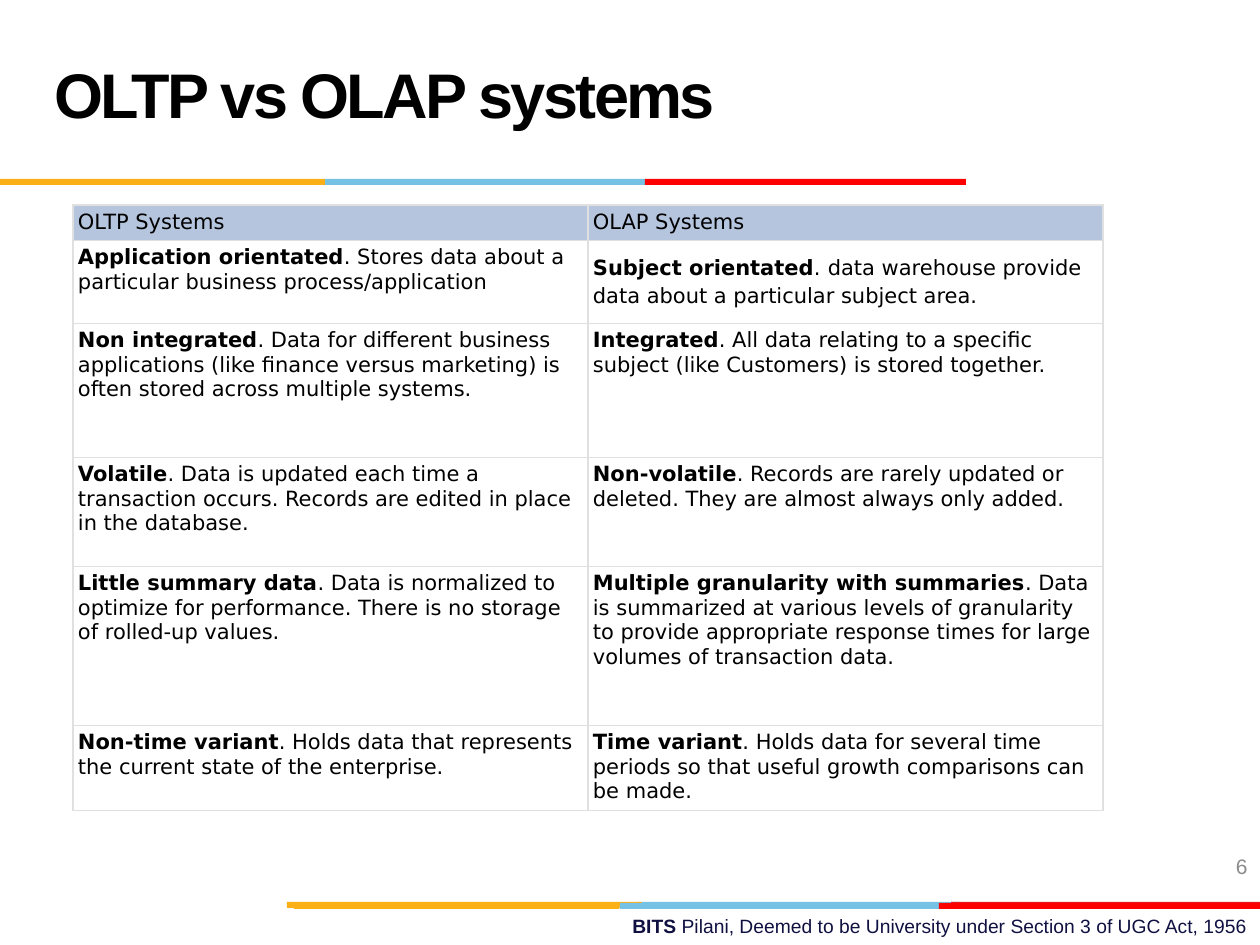
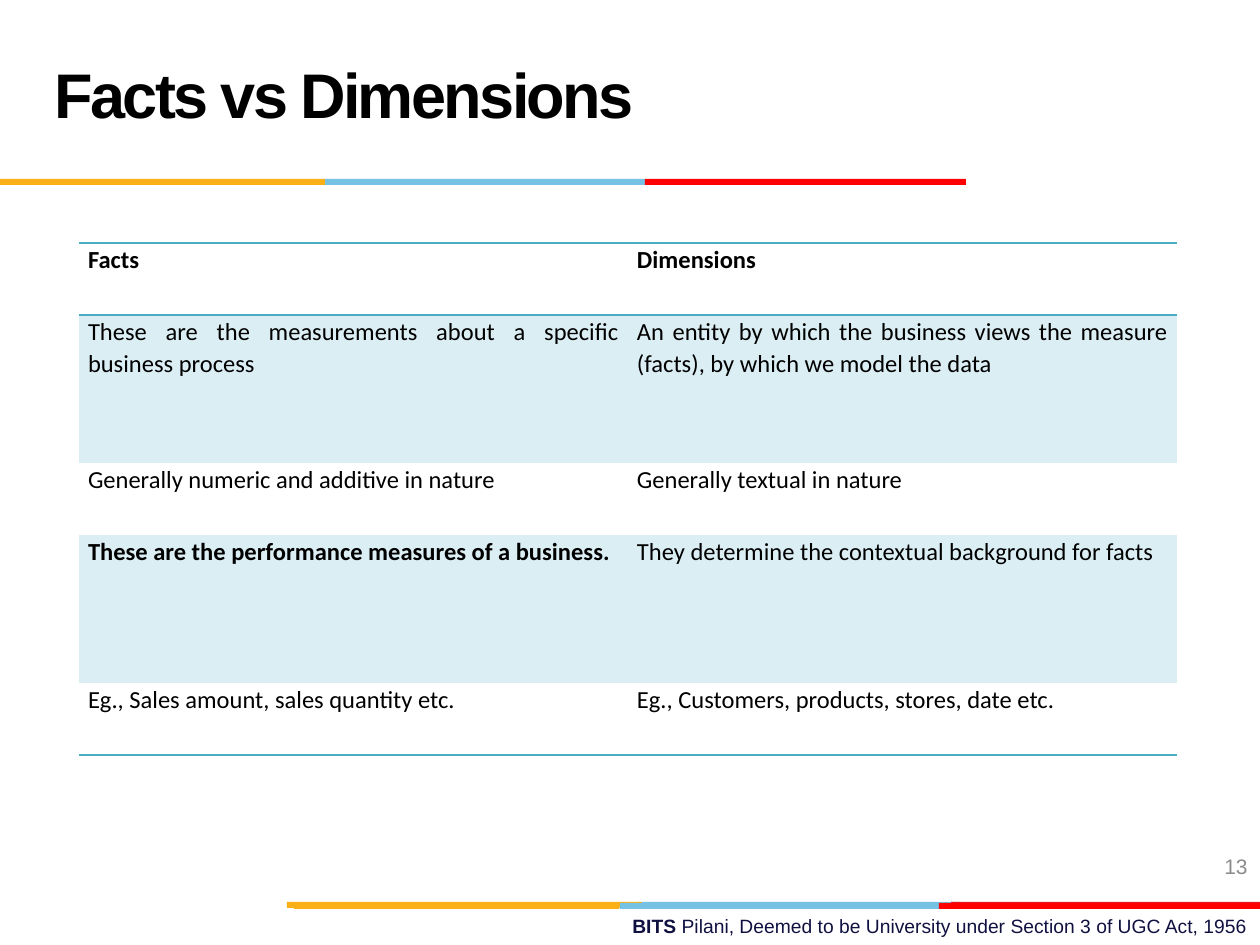
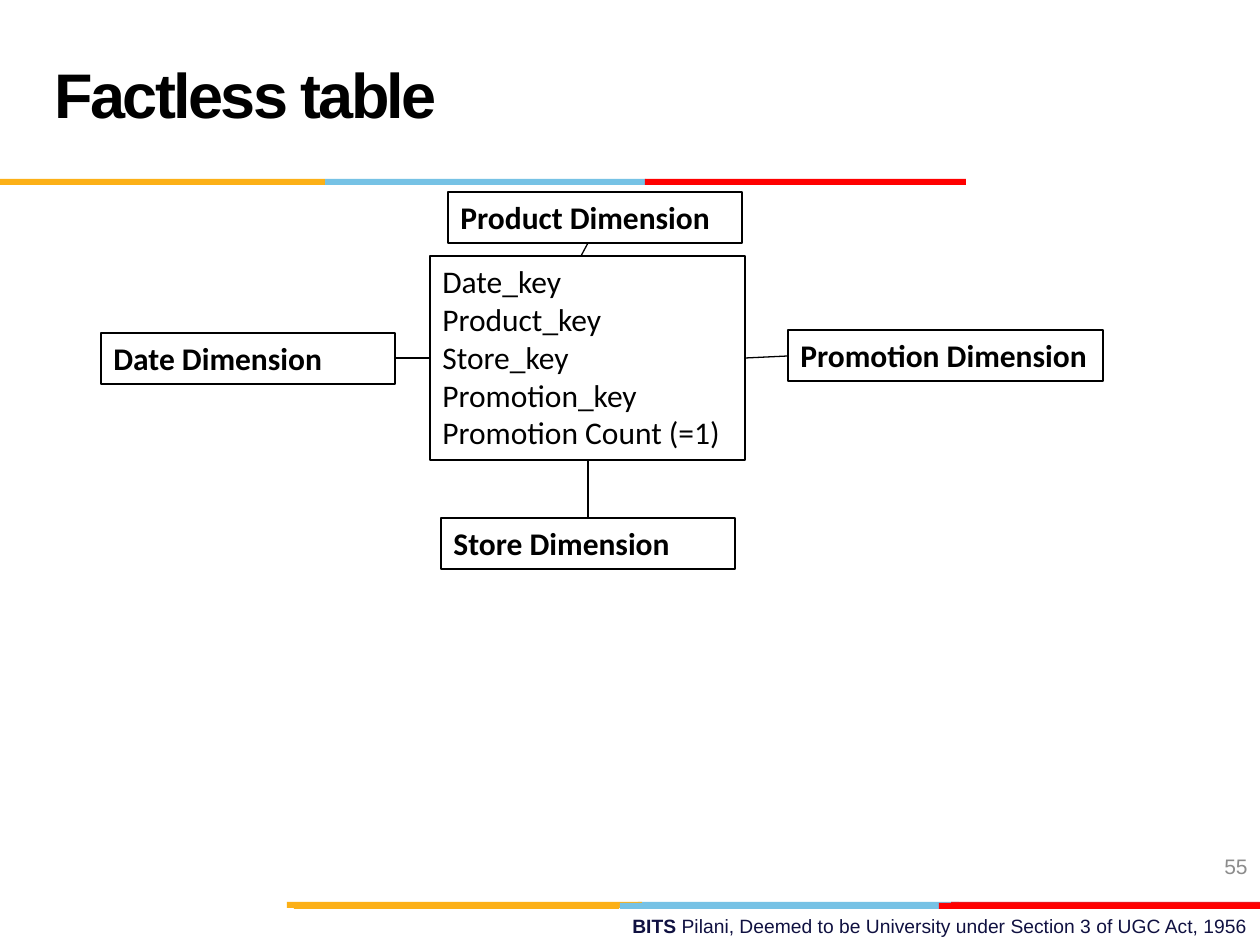
from lxml.etree import SubElement
from pptx import Presentation
from pptx.dml.color import RGBColor
from pptx.enum.shapes import MSO_CONNECTOR, MSO_SHAPE
from pptx.enum.text import MSO_ANCHOR, PP_ALIGN
from pptx.oxml.ns import qn
from pptx.util import Pt

EMU_PER_PX = 914400 / 126
BLACK = RGBColor(0x00, 0x00, 0x00)
WHITE = RGBColor(0xFF, 0xFF, 0xFF)
NAVY = RGBColor(0x10, 0x11, 0x41)
GRAY = RGBColor(0x8C, 0x8C, 0x8C)
AMBER = RGBColor(0xFC, 0xB0, 0x17)
SKY = RGBColor(0x76, 0xC2, 0xE5)
CRIMSON = RGBColor(0xE3, 0x1C, 0x24)
RED = RGBColor(0xFF, 0x00, 0x00)
HEADER_BLUE = RGBColor(0xB5, 0xC5, 0xDD)
GRID_GRAY = RGBColor(0xE0, 0xE0, 0xE0)
TEAL = RGBColor(0x4B, 0xAC, 0xC6)
PALE_TEAL = RGBColor(0xDB, 0xEE, 0xF4)
PLAIN_TABLE_STYLE = "{2D5ABB26-0587-4C30-8999-92F81FD0307C}"

STRIPES = [
    (638, 902, 321, SKY), (951, 902, 309, CRIMSON), (287, 902, 355, AMBER),
    (620, 903, 321, SKY), (294, 903, 325, AMBER), (939, 903, 321, RED),
    (325, 179, 321, SKY), (0, 179, 325, AMBER), (645, 179, 321, RED),
]

SYSTEMS = [
    (("Application orientated", ". Stores data about a particular business process/application"),
     ("Subject orientated", ".", " ", "data warehouse provide data about a particular subject area.")),
    (("Non integrated", ". Data for different business applications (like finance versus "
      "marketing) is often stored across multiple systems."),
     ("Integrated", ". All data relating to a specific subject (like Customers) is stored together.")),
    (("Volatile", ". Data is updated each time a transaction occurs. Records are edited "
      "in place in the database."),
     ("Non-volatile", ". Records are rarely updated or deleted. They are almost always only added.")),
    (("Little summary data", ". Data is normalized to optimize for performance. "
      "There is no storage of rolled-up values."),
     ("Multiple granularity with summaries", ". Data is summarized at various levels of granularity "
      "to provide appropriate response times for large volumes of transaction data.")),
    (("Non-time variant", ". Holds data that represents the current state of the enterprise."),
     ("Time variant", ". Holds data for several time periods so that useful growth comparisons "
      "can be made.")),
]

FACTS_AND_DIMENSIONS = [
    ("Facts", "Dimensions"),
    ("These are the measurements about a specific business process",
     "An entity by which the business views the measure (facts), by which we model the data"),
    ("Generally numeric and additive in nature", "Generally textual in nature"),
    ("These are the performance measures of a business.",
     "They determine the contextual background for facts"),
    ("Eg., Sales amount, sales quantity etc.", "Eg., Customers, products, stores, date etc."),
]
BOLD_FACTS = {(0, 0), (0, 1), (3, 0)}

FACT_KEYS = ["Date_key", "Product_key", "Store_key", "Promotion_key", "Promotion Count (=1)"]
DIMENSION_BOXES = [
    ("Date Dimension", 101, 333, 294),
    ("Store Dimension", 441, 518, 294),
    ("Promotion Dimension", 788, 330, 315),
    ("Product Dimension", 448, 192, 294),
]
LINKS = [(395, 358, 430, 358), (588, 460, 588, 517), (746, 358, 788, 356), (588, 243, 581, 256)]


def px(length):
    return round(length * EMU_PER_PX)


def box(*lengths):
    return [px(length) for length in lengths]


def add_run(paragraph, text, size, font, color=BLACK, bold=False):
    run = paragraph.add_run()
    run.text = text
    run.font.size = Pt(size)
    run.font.name = font
    run.font.bold = bold
    run.font.color.rgb = color
    return run


def add_text_box(slide, left, top, width, height, anchor, align=PP_ALIGN.LEFT):
    frame = slide.shapes.add_textbox(*box(left, top, width, height)).text_frame
    frame.word_wrap = True
    frame.vertical_anchor = anchor
    paragraph = frame.paragraphs[0]
    paragraph.alignment = align
    return paragraph


def add_rectangle(slide, left, top, width, height):
    shape = slide.shapes.add_shape(MSO_SHAPE.RECTANGLE, *box(left, top, width, height))
    shape.shadow.inherit = False
    return shape


def add_stripe(slide, left, top, width, color):
    stripe = add_rectangle(slide, left, top, width, 6)
    stripe.fill.solid()
    stripe.fill.fore_color.rgb = color
    stripe.line.fill.background()


def add_base_slide(presentation, title, number):
    slide = presentation.slides.add_slide(presentation.slide_layouts[6])
    footer = add_text_box(slide, 451, 908, 809, 37, MSO_ANCHOR.TOP, PP_ALIGN.RIGHT)
    add_run(footer, "BITS ", 11, "Arial", NAVY, True)
    add_run(footer, "Pilani, Deemed to be University under Section 3 of UGC Act, 1956",
            11, "Arial", NAVY)
    for stripe in STRIPES:
        add_stripe(slide, *stripe)
    heading = add_text_box(slide, 42, 21, 872, 158, MSO_ANCHOR.MIDDLE)
    heading.line_spacing = Pt(36)
    run = add_run(heading, title, 36, "Arial", bold=True)
    run.font._element.set("spc", "-150")
    page = add_text_box(slide, 966, 841, 294, 50, MSO_ANCHOR.MIDDLE, PP_ALIGN.RIGHT)
    add_run(page, str(number), 12, "Arial", GRAY)
    return slide


def add_plain_table(slide, left, top, column_width, row_heights):
    frame = slide.shapes.add_table(
        len(row_heights), 2, *box(left, top, 2 * column_width, sum(row_heights)))
    table = frame.table
    table.first_row = table.horz_banding = False
    next(frame._element.iter(qn("a:tableStyleId"))).text = PLAIN_TABLE_STYLE
    for column in table.columns:
        column.width = px(column_width)
    for row, height in zip(table.rows, row_heights):
        row.height = px(height)
    return table


def style_cell(cell, margin_x, margin_y, sides, border, points, fill):
    cell.margin_left = cell.margin_right = px(margin_x)
    cell.margin_top = cell.margin_bottom = px(margin_y)
    properties = cell._tc.get_or_add_tcPr()
    for side in sides:
        line = SubElement(properties, qn(f"a:ln{side}"), w=str(Pt(points)))
        solid = SubElement(line, qn("a:solidFill"))
        SubElement(solid, qn("a:srgbClr"), val=str(border))
    if fill is None:
        cell.fill.background()
    else:
        cell.fill.solid()
        cell.fill.fore_color.rgb = fill


def add_systems_table(slide):
    table = add_plain_table(slide, 73, 205, 515, [34, 83, 134, 109, 159, 84])
    rows = [(("", "OLTP Systems"), ("", "OLAP Systems"))] + SYSTEMS
    for row_index, row in enumerate(rows):
        for column_index, (term, *details) in enumerate(row):
            cell = table.cell(row_index, column_index)
            fill = WHITE if row_index else HEADER_BLUE
            style_cell(cell, 5, 5, "LRTB", GRID_GRAY, 0.75, fill)
            paragraph = cell.text_frame.paragraphs[0]
            if term:
                add_run(paragraph, term, 12, "DejaVu Sans", bold=True)
            for detail in details:
                size, font = (18, "Calibri") if detail == " " else (12, "DejaVu Sans")
                add_run(paragraph, detail, size, font)


def add_facts_table(slide):
    table = add_plain_table(slide, 79, 243, 549, [72, 148, 72, 148, 72])
    ruled_sides = {0: "TB", len(FACTS_AND_DIMENSIONS) - 1: "B"}
    for row_index, row in enumerate(FACTS_AND_DIMENSIONS):
        for column_index, text in enumerate(row):
            cell = table.cell(row_index, column_index)
            fill = PALE_TEAL if row_index % 2 else None
            style_cell(cell, 9, 0, ruled_sides.get(row_index, ""), TEAL, 1, fill)
            paragraph = cell.text_frame.paragraphs[0]
            paragraph.alignment = PP_ALIGN.JUSTIFY
            paragraph.line_spacing = 1.07
            add_run(paragraph, text, 14, "Calibri", bold=(row_index, column_index) in BOLD_FACTS)


def add_entity(slide, lines, left, top, width, height, bold):
    entity = add_rectangle(slide, left, top, width, height)
    entity.fill.background()
    entity.line.color.rgb = BLACK
    entity.line.width = Pt(0.75)
    frame = entity.text_frame
    frame.word_wrap = True
    frame.vertical_anchor = MSO_ANCHOR.TOP
    for index, text in enumerate(lines):
        paragraph = frame.add_paragraph() if index else frame.paragraphs[0]
        paragraph.alignment = PP_ALIGN.LEFT
        add_run(paragraph, text, 18, "Calibri", bold=bold)


def add_link(slide, *ends):
    link = slide.shapes.add_connector(MSO_CONNECTOR.STRAIGHT, *box(*ends))
    link.line.color.rgb = BLACK
    link.line.width = Pt(0.75)
    SubElement(link._element.spPr, qn("a:effectLst"))


def main():
    presentation = Presentation()
    presentation.slide_width = px(1260)
    presentation.slide_height = px(945)

    add_systems_table(add_base_slide(presentation, "OLTP vs OLAP systems", 6))
    add_facts_table(add_base_slide(presentation, "Facts vs Dimensions", 13))

    star_slide = add_base_slide(presentation, "Factless table", 55)
    add_entity(star_slide, FACT_KEYS, 430, 256, 315, 204, False)
    for name, left, top, width in DIMENSION_BOXES:
        add_entity(star_slide, [name], left, top, width, 51, True)
    for link in LINKS:
        add_link(star_slide, *link)

    presentation.save("out.pptx")


if __name__ == "__main__":
    main()
